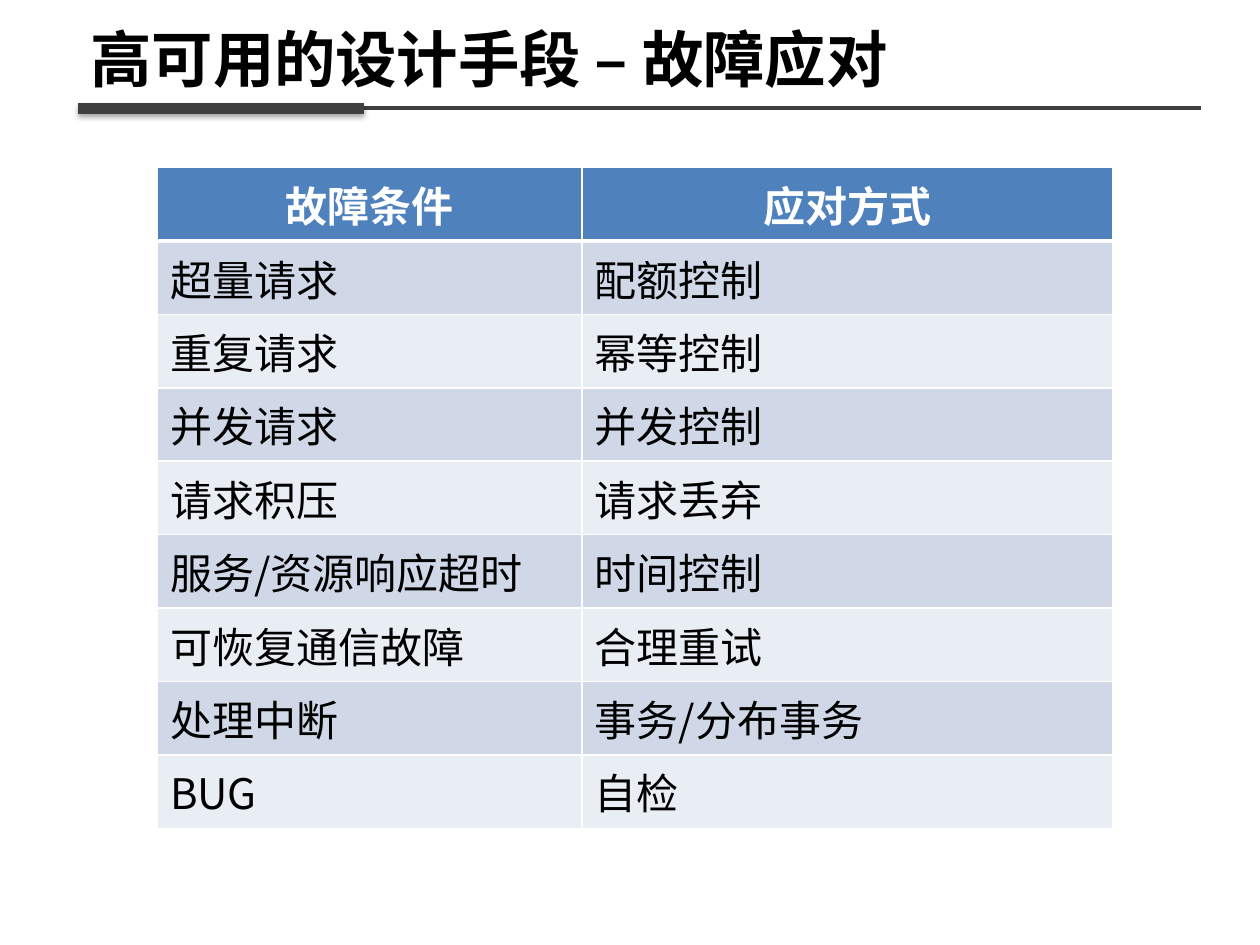
from lxml.etree import SubElement
from pptx import Presentation
from pptx.dml.color import RGBColor as RGB
from pptx.enum.shapes import MSO_CONNECTOR as Connector
from pptx.enum.text import MSO_ANCHOR as Anchor, PP_ALIGN as Align
from pptx.oxml.ns import qn
from pptx.util import Inches, Pt

COLORS = {
    "text": "000000", "rule": "404040", "white": "FFFFFF",
    "header": "4F81BD", "odd": "D0D8E8", "even": "E9EDF4",
}
FONT = "Noto Sans CJK SC"
GRID_COLUMNS, GRID_ROWS = 100, 75
COLUMN_WIDTHS = (33.7, 42.1)
ROW_HEIGHT = 5.83
RESPONSES = [
    ("故障条件", "应对方式"),
    ("超量请求", "配额控制"),
    ("重复请求", "幂等控制"),
    ("并发请求", "并发控制"),
    ("请求积压", "请求丢弃"),
    ("服务/资源响应超时", "时间控制"),
    ("可恢复通信故障", "合理重试"),
    ("处理中断", "事务/分布事务"),
    ("BUG", "自检"),
]


class SlideBuilder:
    """Places styled elements on a grid of columns and rows."""

    def __init__(self, presentation):
        self.column = presentation.slide_width / GRID_COLUMNS
        self.row = presentation.slide_height / GRID_ROWS
        self.slide = presentation.slides.add_slide(presentation.slide_layouts[6])
        self.shapes = self.slide.shapes

    def place(self, x, y):
        return round(x * self.column), round(y * self.row)

    def style(self, paragraph, size, color, bold=False):
        for run in paragraph.runs:
            font = run.font
            font.size, font.bold, font.name = Pt(size), bold, FONT
            font.color.rgb = RGB.from_string(COLORS[color])
            SubElement(font._element, qn("a:ea"), typeface=FONT)

    def title(self, text, x, y, width, height):
        box = self.shapes.add_textbox(*self.place(x, y), *self.place(width, height))
        frame = box.text_frame
        frame.word_wrap = True
        frame.vertical_anchor = Anchor.MIDDLE
        frame.text = text
        self.style(frame.paragraphs[0], 35.1, "text", bold=True)

    def rule(self, x, y, length, weight, shadow=False):
        line = self.shapes.add_connector(
            Connector.STRAIGHT, *self.place(x, y), *self.place(x + length, y))
        line.line.width = Pt(weight)
        line.line.color.rgb = RGB.from_string(COLORS["rule"])
        effects = SubElement(line._element.spPr, qn("a:effectLst"))
        if shadow:
            outer = SubElement(effects, qn("a:outerShdw"), blurRad=str(Pt(3.1)),
                               dist=str(Pt(1.8)), dir="5400000", rotWithShape="0")
            black = SubElement(outer, qn("a:srgbClr"), val=COLORS["text"])
            SubElement(black, qn("a:alpha"), val="35000")

    def borders(self, cell, bottom):
        properties = cell._tc.get_or_add_tcPr()
        for side, weight in (("L", 1), ("R", 1), ("T", 1), ("B", bottom)):
            border = SubElement(properties, qn(f"a:ln{side}"), w=str(Pt(weight)))
            fill = SubElement(border, qn("a:solidFill"))
            SubElement(fill, qn("a:srgbClr"), val=COLORS["white"])

    def cell(self, cell, text, row):
        is_header = row == 0
        self.borders(cell, bottom=3 if is_header else 1)
        fill = "header" if is_header else "odd" if row % 2 else "even"
        cell.fill.solid()
        cell.fill.fore_color.rgb = RGB.from_string(COLORS[fill])
        cell.text_frame.text = text
        paragraph = cell.text_frame.paragraphs[0]
        paragraph.alignment = Align.CENTER if is_header else Align.LEFT
        self.style(paragraph, 24, "white" if is_header else "text", is_header)

    def table(self, rows, x, y, widths, row_height):
        size = self.place(sum(widths), row_height * len(rows))
        table = self.shapes.add_table(
            len(rows), len(widths), *self.place(x, y), *size).table
        for column, width in zip(table.columns, widths):
            column.width = round(width * self.column)
        for index, texts in enumerate(rows):
            table.rows[index].height = round(row_height * self.row)
            for position, text in enumerate(texts):
                self.cell(table.cell(index, position), text, index)


def main():
    presentation = Presentation()
    presentation.slide_width, presentation.slide_height = Inches(10), Inches(7.5)
    builder = SlideBuilder(presentation)
    builder.title("高可用的设计手段 – 故障应对", 6.2, 1.4, 88.8, 6.4)
    builder.rule(6.2, 8.6, 89.1, 2.25)
    builder.rule(6.2, 8.6, 22.7, 6, shadow=True)
    builder.table(RESPONSES, 12.5, 13.3, COLUMN_WIDTHS, ROW_HEIGHT)
    presentation.save("out.pptx")


if __name__ == "__main__":
    main()
